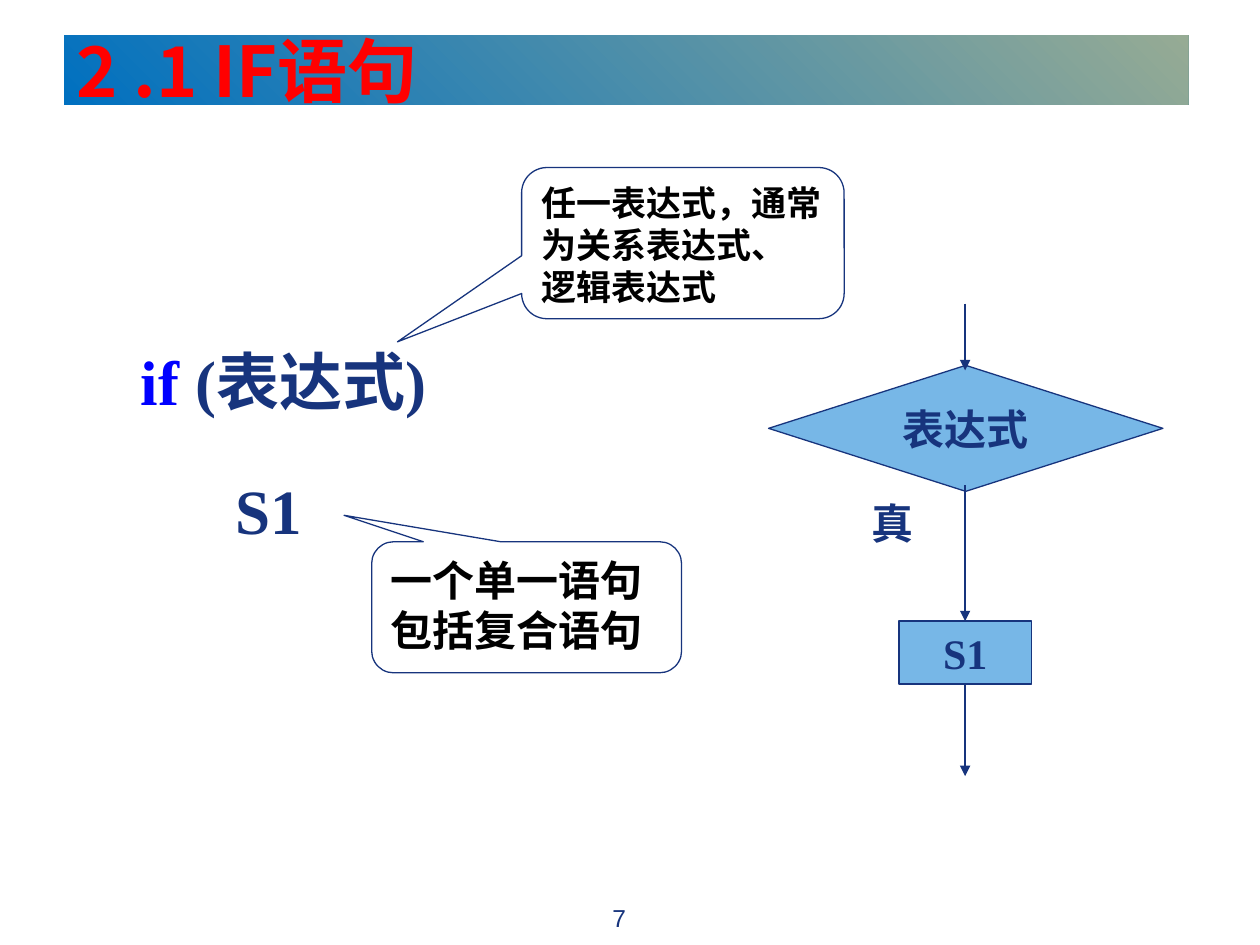
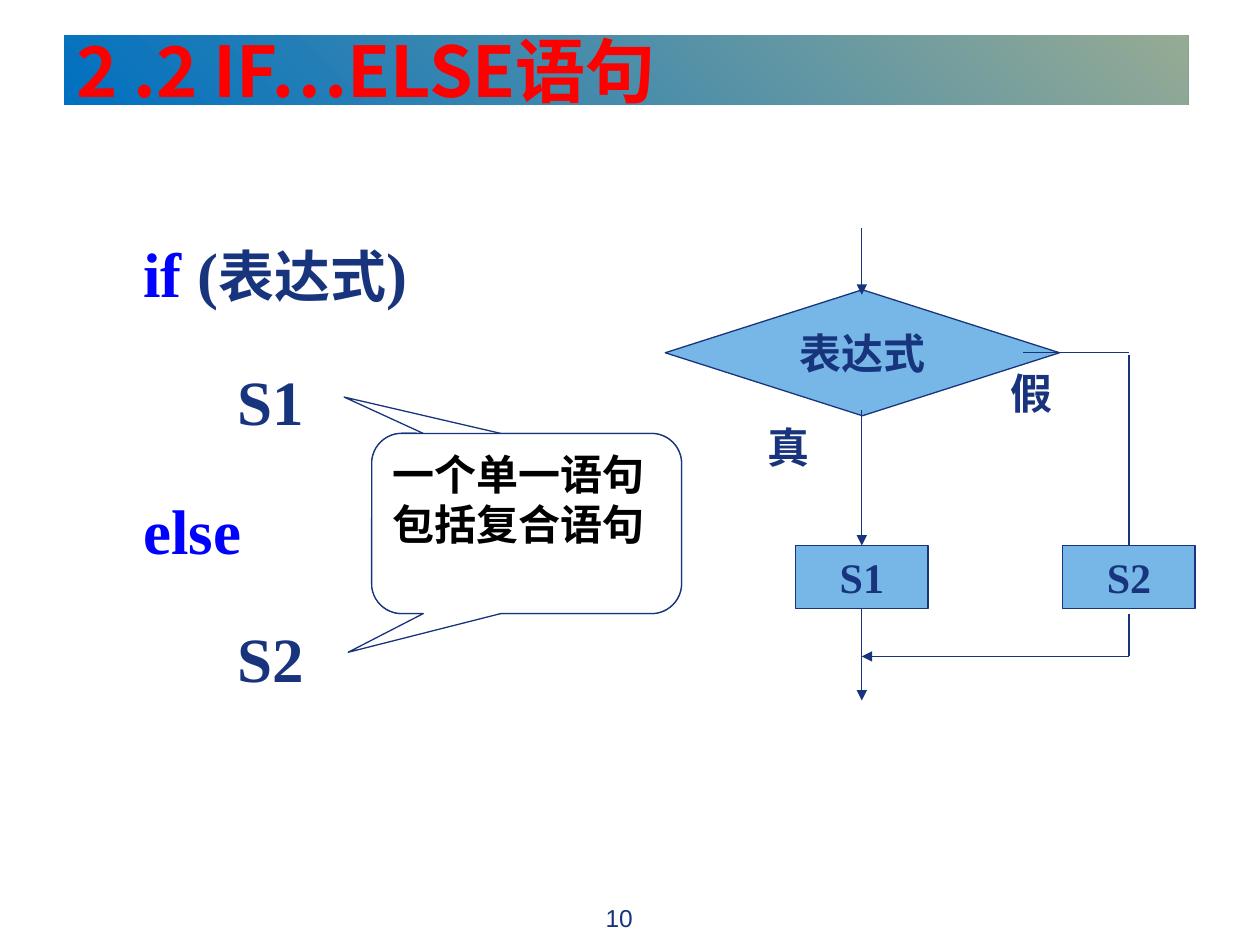
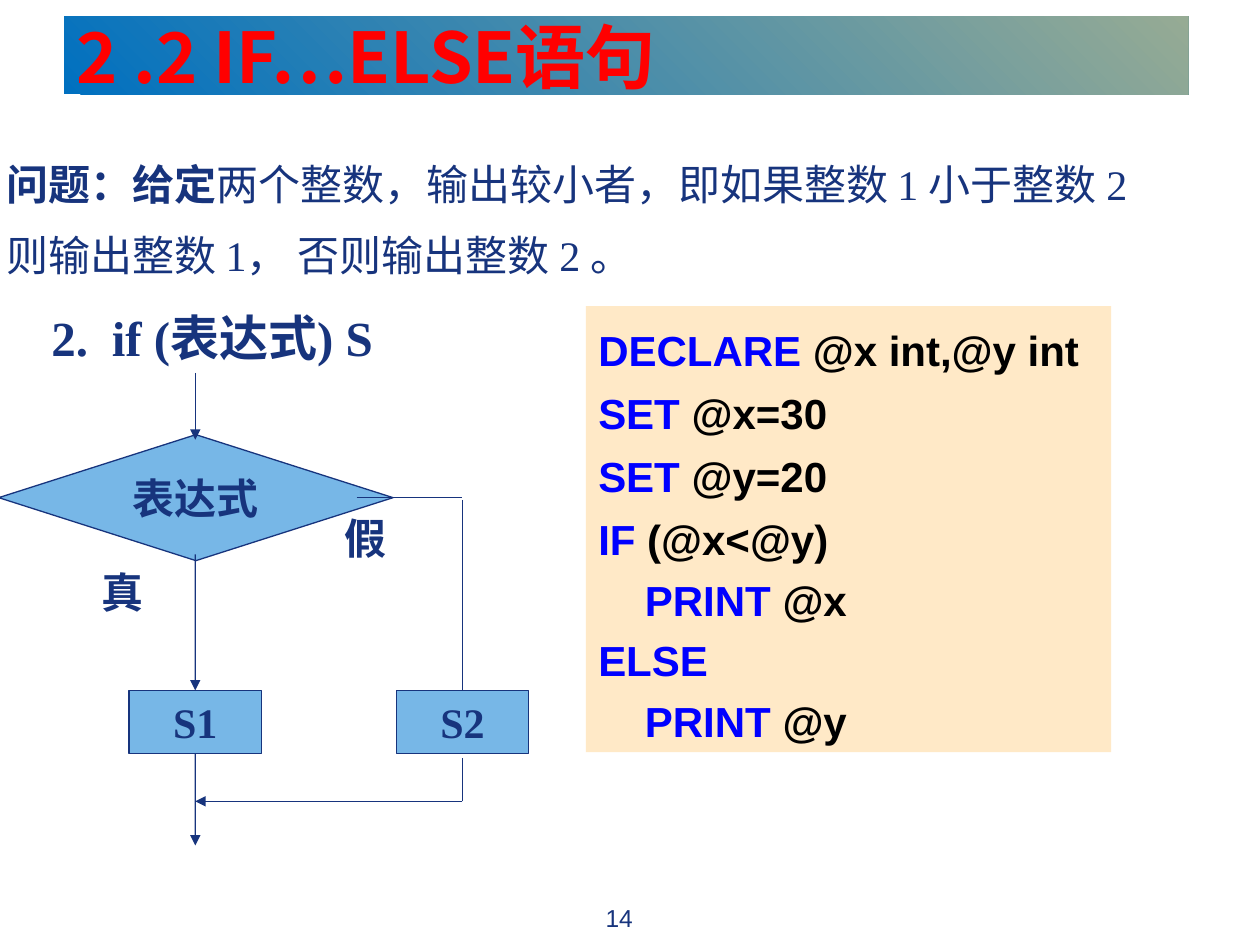
"""Build three slides on the IF and IF…ELSE statements."""
from lxml.etree import SubElement
from pptx import Presentation
from pptx.dml.color import RGBColor
from pptx.enum.lang import MSO_LANGUAGE_ID as Lang
from pptx.enum.shapes import MSO_CONNECTOR as Link, MSO_SHAPE as Kind
from pptx.enum.text import MSO_ANCHOR as Anchor, MSO_AUTO_SIZE as Auto, PP_ALIGN as Align
from pptx.oxml.ns import qn
from pptx.util import Inches, Pt

NAVY = RGBColor(0x17, 0x34, 0x7D)
SKY = RGBColor(0x77, 0xB7, 0xE7)
BLUE = RGBColor(0x00, 0x00, 0xFF)
BLACK = RGBColor(0x00, 0x00, 0x00)
WHITE = RGBColor(0xFF, 0xFF, 0xFF)
RED = RGBColor(0xFF, 0x00, 0x00)
CREAM = RGBColor(0xFF, 0xE9, 0xC7)
BAND = RGBColor(0x00, 0x70, 0xC0), RGBColor(0x96, 0xAB, 0x94)
SERIF, SANS, HAN = "Times New Roman", "Arial", "Noto Sans CJK SC"

FONT = dict(name=SERIF, size=Pt(24), bold=True, language_id=Lang.SIMPLIFIED_CHINESE)
CENTER = dict(alignment=Align.CENTER)
WIDE = dict(line_spacing=1.7)

NOTE = ["一个单一语句", "包括复合语句"]
SLIDES = [
    dict(title="2 .1 IF语句", page="7", band=(0.51, 0.28, 8.92, 0.55),
         flow=(6.1, 2.9), fork=False,
         form=((1.02, 2.25, 3.8, 2.2), 36,
               [(0, [("if", BLUE), (" (表达式)", NAVY)]), (0.75, [("S1", NAVY)])]),
         notes=[((4.14, 1.33, 2.56, 1.2), (-0.885, 0.653), 20,
                 ["任一表达式，通常为关系表达式、", "逻辑表达式"]),
                ((2.95, 4.3, 2.46, 1.04), (-0.589, -0.702), 24, NOTE)]),
    dict(title="2 .2 IF…ELSE语句", page="10", band=(0.51, 0.28, 8.92, 0.55),
         flow=(5.28, 2.3), fork=True,
         form=((1.04, 1.39, 3.66, 4.18), 32,
               [(0, [("if", BLUE), (" (", NAVY), ("表达式", NAVY), (")", NAVY)]),
                (0.75, [("S1", NAVY)]),
                (0, [("else", BLUE)]),
                (0.75, [("S2", NAVY)])]),
         notes=[((2.95, 3.44, 2.46, 1.43), (-0.589, -0.702), 24, []),
                ((2.95, 3.44, 2.46, 1.43), (-0.576, 0.715), 24, NOTE)]),
    dict(title="2 .2 IF…ELSE语句", page="14", band=(0.51, 0.13, 8.92, 0.62),
         flow=(-0.01, 3.45), fork=True, notes=[]),
]
TASK = [[("问题：给定", True), ("两个整数，输出较小者，即如果整数 1 小于整数 2", False)],
        [("则输出整数 1， 否则输出整数 2 。", False)]]
CODE = [("DECLARE", " @x int,@y int", 1.25), ("SET", " @x=30", 1.25),
        ("SET", " @y=20", 1.25), ("IF", " (@x<@y)", 1.25),
        ("    PRINT", " @x", 1.2), ("ELSE", "", 1.2), ("    PRINT", " @y", 1.2)]


def apply(item, vals):
    """Set each named value on an item."""
    for key, val in vals.items():
        setattr(item, key, val)


def write(frame, paras, **vals):
    """Fill a text frame from (format, runs) pairs."""
    apply(frame, dict(word_wrap=True, auto_size=Auto.NONE, vertical_anchor=Anchor.TOP) | vals)
    for i, (form, runs) in enumerate(paras):
        para = frame.add_paragraph() if i else frame.paragraphs[0]
        apply(para, dict(alignment=Align.LEFT) | form)
        for text, color, *font in runs:
            run = para.add_run()
            run.text = text
            apply(run.font, FONT | (font[0] if font else {}))
            run.font.color.rgb = color


def indent(para, left):
    """Hang a paragraph at a left indent."""
    props = para._p.get_or_add_pPr()
    props.set("marL", str(Inches(left)))
    props.set("indent", str(-Inches(left)))


def place(box):
    """Turn a tuple of inches into lengths."""
    return [Inches(v) for v in box]


def label(slide, box, paras, **vals):
    """Add a text box."""
    frame = slide.shapes.add_textbox(*place(box)).text_frame
    write(frame, paras, **vals)
    return frame


def block(slide, kind, box, fill, line=NAVY):
    """Add a filled shape with an optional outline."""
    shape = slide.shapes.add_shape(kind, *place(box))
    shape.shadow.inherit = False
    shape.fill.solid()
    shape.fill.fore_color.rgb = fill
    if line is None:
        shape.line.fill.background()
    else:
        shape.line.color.rgb = line
        shape.line.width = Pt(0.75)
    return shape


def node(slide, kind, box, text):
    """Add a flowchart node with a centred label."""
    shape = block(slide, kind, box, SKY)
    write(shape.text_frame, [(CENTER, [(text, NAVY)])],
          word_wrap=False, vertical_anchor=Anchor.MIDDLE)
    return shape


def link(slide, start, end, arrow=False):
    """Add a straight line, with an arrowhead if asked."""
    line = slide.shapes.add_connector(Link.STRAIGHT, *place(start + end))
    line.line.color.rgb = NAVY
    line.line.width = Pt(0.75)
    if arrow:
        SubElement(line.line._get_or_add_ln(), qn("a:tailEnd"), type="triangle")
    SubElement(line._element.spPr, qn("a:effectLst"))
    return line


def chart(slide, left, top, fork):
    """Draw the decision flow from the diamond's corner."""
    mid, side = left + 1.56, left + 3.68
    row, wide, high = top + 2.03, 1.05, 0.5
    node(slide, Kind.FLOWCHART_DECISION, (left, top, 3.13, 1), "表达式")
    yes = node(slide, Kind.RECTANGLE, (mid - wide / 2, row, wide, high), "S1")
    link(slide, (mid, top - 0.49), (mid, top + 0.04), True)
    link(slide, (mid, top + 0.95), (mid, row), True).end_connect(yes, 0)
    link(slide, (mid, row + high), (mid, top + 3.26), True).begin_connect(yes, 2)
    label(slide, (left + 0.63, top + 1, 0.7, 0.5), [(CENTER, [("真", NAVY)])])
    if fork:
        no = node(slide, Kind.RECTANGLE, (side - wide / 2, row, wide, high), "S2")
        link(slide, (left + 2.84, top + 0.5), (side, top + 0.5))
        link(slide, (side, row), (side, top + 0.52)).begin_connect(no, 0)
        link(slide, (side, top + 2.91), (side, top + 2.57))
        link(slide, (side, top + 2.91), (mid, top + 2.91), True)
        label(slide, (left + 2.61, top + 0.57, 0.6, 0.5), [(CENTER, [("假", NAVY)])])


def frame(deck, data):
    """Add a slide with its title band and page number."""
    slide = deck.slides.add_slide(deck.slide_layouts[5])
    title = slide.shapes.title
    apply(title, dict(zip(("left", "top", "width", "height"), place(data["band"]))))
    title.fill.gradient()
    title.fill.gradient_angle = 45
    for stop, color, pos in zip(title.fill.gradient_stops, BAND, (0, 1)):
        stop.color.rgb = color
        stop.position = pos
    write(title.text_frame, [({}, [(data["title"], RED, dict(name=HAN, size=Pt(40)))])],
          vertical_anchor=Anchor.MIDDLE)
    label(slide, (3.75, 7.12, 2.33, 0.34),
          [(CENTER, [(data["page"], NAVY, dict(name=SANS, size=Pt(14), bold=False))])])
    return slide


def syntax(slide, box, han, rows):
    """Write the statement form with its indented branches."""
    paras = [(WIDE, [(t, c, dict(size=Pt(han if t == "表达式" else 36))) for t, c in runs])
             for _, runs in rows]
    text = label(slide, box, paras)
    for para, (left, _) in zip(text.paragraphs, rows):
        para._p.get_or_add_pPr().set("marL", str(Inches(left)))


def note(slide, box, tip, size, lines):
    """Add a rounded callout."""
    shape = block(slide, Kind.ROUNDED_RECTANGULAR_CALLOUT, box, WHITE)
    for i, val in enumerate((*tip, 0.167)):
        shape.adjustments[i] = val
    write(shape.text_frame, [({}, [(t, BLACK, dict(size=Pt(size)))]) for t in lines])


def example(slide):
    """Write the task, its statement form and the code."""
    label(slide, (-0.05, 1.13, 10.18, 1.15),
          [(dict(line_spacing=1.2, space_before=Pt(6 if i else 0)),
            [(t, NAVY, dict(bold=b)) for t, b in runs]) for i, runs in enumerate(TASK)])
    form = label(slide, (0.31, 2.39, 3.3, 0.57),
                 [({}, [("2.\tif (表达式) S", NAVY, dict(size=Pt(28)))])])
    indent(form.paragraphs[0], 0.48)
    panel = block(slide, Kind.RECTANGLE, (4.65, 2.43, 4.17, 3.54), CREAM, None)
    sans = dict(name=SANS)
    write(panel.text_frame,
          [(dict(line_spacing=gap), [(t, c, sans) for t, c in ((word, BLUE), (rest, BLACK)) if t])
           for word, rest, gap in CODE])
    for para in panel.text_frame.paragraphs:
        indent(para, 0.25)


def main():
    """Build and save the deck."""
    deck = Presentation()
    deck.slide_width, deck.slide_height = Inches(10), Inches(7.5)
    for data in SLIDES:
        slide = frame(deck, data)
        if "form" in data:
            syntax(slide, *data["form"])
        else:
            example(slide)
        chart(slide, *data["flow"], data["fork"])
        for item in data["notes"]:
            note(slide, *item)
    deck.save("out.pptx")


if __name__ == "__main__":
    main()
